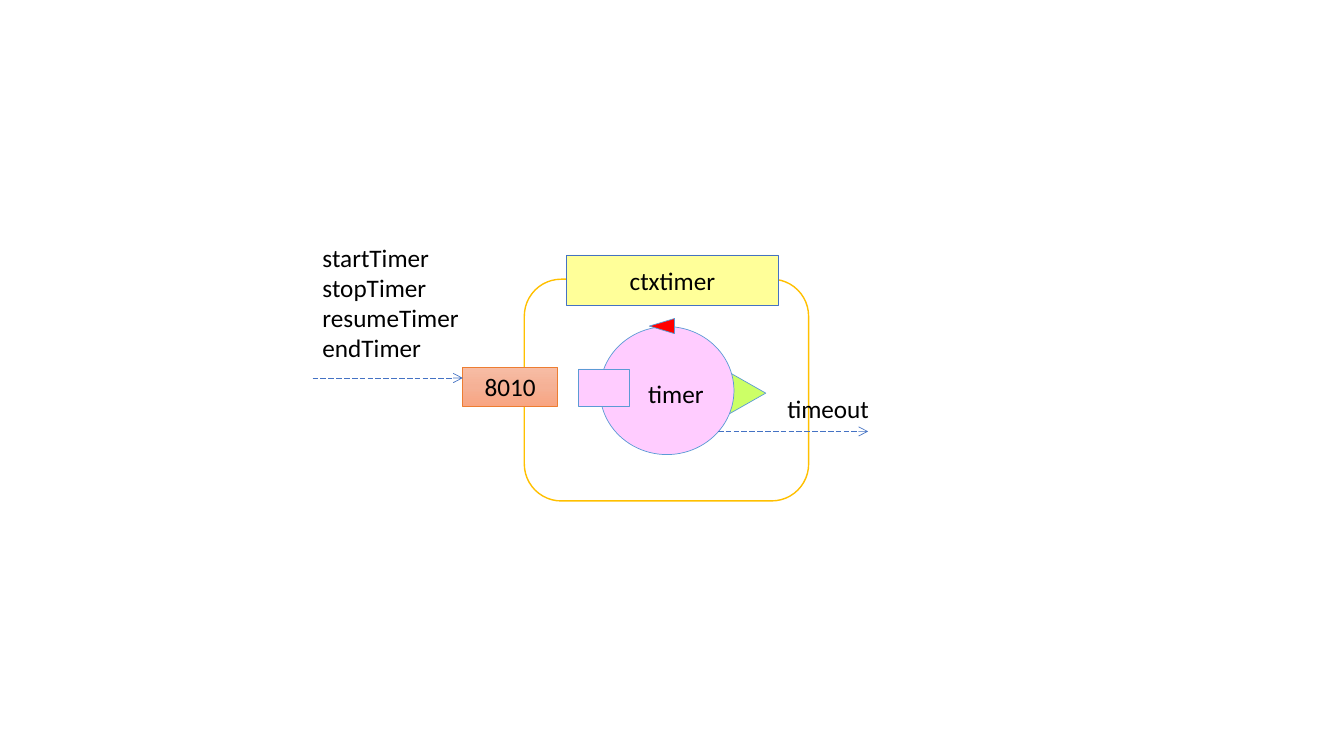
from copy import deepcopy
from dataclasses import dataclass

from lxml import etree
from pptx import Presentation
from pptx.dml.color import RGBColor
from pptx.enum.dml import MSO_LINE
from pptx.enum.shapes import MSO_CONNECTOR, MSO_SHAPE
from pptx.enum.text import MSO_ANCHOR, MSO_AUTO_SIZE, PP_ALIGN
from pptx.oxml.ns import qn
from pptx.util import Inches, Pt

RECTANGLE = MSO_SHAPE.RECTANGLE
ROUNDED = MSO_SHAPE.ROUNDED_RECTANGLE
TRIANGLE = MSO_SHAPE.ISOSCELES_TRIANGLE
OVAL = MSO_SHAPE.OVAL
STRAIGHT = MSO_CONNECTOR.STRAIGHT
LONG_DASH = MSO_LINE.LONG_DASH
MIDDLE = MSO_ANCHOR.MIDDLE
CENTER, LEFT = PP_ALIGN.CENTER, PP_ALIGN.LEFT
FIT_SHAPE = MSO_AUTO_SIZE.SHAPE_TO_FIT_TEXT


@dataclass(frozen=True)
class Theme:
    font: str = "Calibri"
    size: int = 18
    thin: float = 0.5
    border: float = 1
    ink: str = "000000"
    white: str = "FFFFFF"
    gold: str = "FFC000"
    lime: str = "CCFF66"
    pink: str = "FFCCFF"
    red: str = "FF0000"
    yellow: str = "FFFF99"
    sky: str = "5B9BD5"
    blue: str = "4472C4"
    orange: str = "ED7D31"
    peach: tuple = ("F7BDA5", "F5B196", "F8A582")


class Diagram:
    """Draws styled elements on one slide."""

    def __init__(self, page, theme):
        self.shapes = page.shapes
        self.theme = theme

    def fill_text(self, frame, lines, align):
        font_format = {"name": self.theme.font, "size": Pt(self.theme.size)}
        for index, line in enumerate(lines):
            para = frame.paragraphs[0] if index == 0 else frame.add_paragraph()
            para.alignment = align
            span = para.add_run()
            span.text = line
            for name, value in font_format.items():
                setattr(span.font, name, value)
            span.font.color.rgb = RGBColor.from_string(self.theme.ink)

    def blend(self, box, colors):
        box.fill.gradient()
        box.fill.gradient_angle = 270
        first = box.element.spPr.find(f"{qn('a:gradFill')}/{qn('a:gsLst')}")[0]
        first.addnext(deepcopy(first))
        for index, (stop, color) in enumerate(zip(box.fill.gradient_stops, colors)):
            stop.position = index / (len(colors) - 1)
            stop.color.rgb = RGBColor.from_string(color)

    def stroke(self, line, color, width):
        line.color.rgb = RGBColor.from_string(color)
        line.width = Pt(width)

    def shape(self, kind, place, fill, outline, width=None, rotation=0, label=None):
        box = self.shapes.add_shape(kind, *map(Inches, place))
        box.shadow.inherit = False
        box.rotation = rotation
        if isinstance(fill, tuple):
            self.blend(box, fill)
        else:
            box.fill.solid()
            box.fill.fore_color.rgb = RGBColor.from_string(fill)
        self.stroke(box.line, outline, width or self.theme.thin)
        if label:
            box.text_frame.vertical_anchor = MIDDLE
            self.fill_text(box.text_frame, [label], CENTER)

    def text(self, place, lines, wrap=False):
        frame = self.shapes.add_textbox(*map(Inches, place)).text_frame
        frame_format = {"word_wrap": wrap, "auto_size": FIT_SHAPE}
        for name, value in frame_format.items():
            setattr(frame, name, value)
        self.fill_text(frame, lines, LEFT)

    def arrow(self, left, top, length):
        ends = map(Inches, (left, top, left + length, top))
        arrow = self.shapes.add_connector(STRAIGHT, *ends)
        self.stroke(arrow.line, self.theme.blue, self.theme.thin)
        arrow.line.dash_style = LONG_DASH
        properties = arrow.element.spPr
        etree.SubElement(properties.find(qn("a:ln")), qn("a:tailEnd"), type="arrow")
        etree.SubElement(properties, qn("a:effectLst"))


def main():
    theme = Theme()
    deck = Presentation()
    deck.slide_width, deck.slide_height = Inches(13.33), Inches(7.5)
    page = deck.slides.add_slide(deck.slide_layouts[6])
    diagram = Diagram(page, theme)

    diagram.shape(ROUNDED, (5.2, 2.77, 2.82, 2.2), theme.white, theme.gold, theme.border)
    diagram.shape(TRIANGLE, (6.57, 3.42, 1.09, 0.96), theme.lime, theme.sky, rotation=90)
    diagram.shape(OVAL, (5.95, 3.24, 1.33, 1.27), theme.pink, theme.sky)
    diagram.shape(RECTANGLE, (5.74, 3.66, 0.5, 0.37), theme.pink, theme.sky)
    diagram.shape(TRIANGLE, (6.49, 3.11, 0.15, 0.25), theme.red, theme.sky, rotation=270)
    diagram.text((6.33, 3.7, 0.76, 0.4), ["timer"])
    diagram.shape(RECTANGLE, (5.62, 2.53, 2.1, 0.5), theme.yellow, theme.blue, label="ctxtimer")
    diagram.shape(RECTANGLE, (4.59, 3.64, 0.94, 0.39), theme.peach, theme.orange, label="8010")

    arrow_length = 1.49
    diagram.arrow(7.12, 4.28, arrow_length)
    diagram.text((7.71, 3.85, 1.02, 0.4), ["timeout"])
    diagram.arrow(3.1, 3.75, arrow_length)
    commands = [f"{action}Timer" for action in ("start", "stop", "resume", "end")]
    diagram.text((3.1, 2.35, 1.65, 1.31), commands, wrap=True)

    deck.save("out.pptx")


if __name__ == "__main__":
    main()
